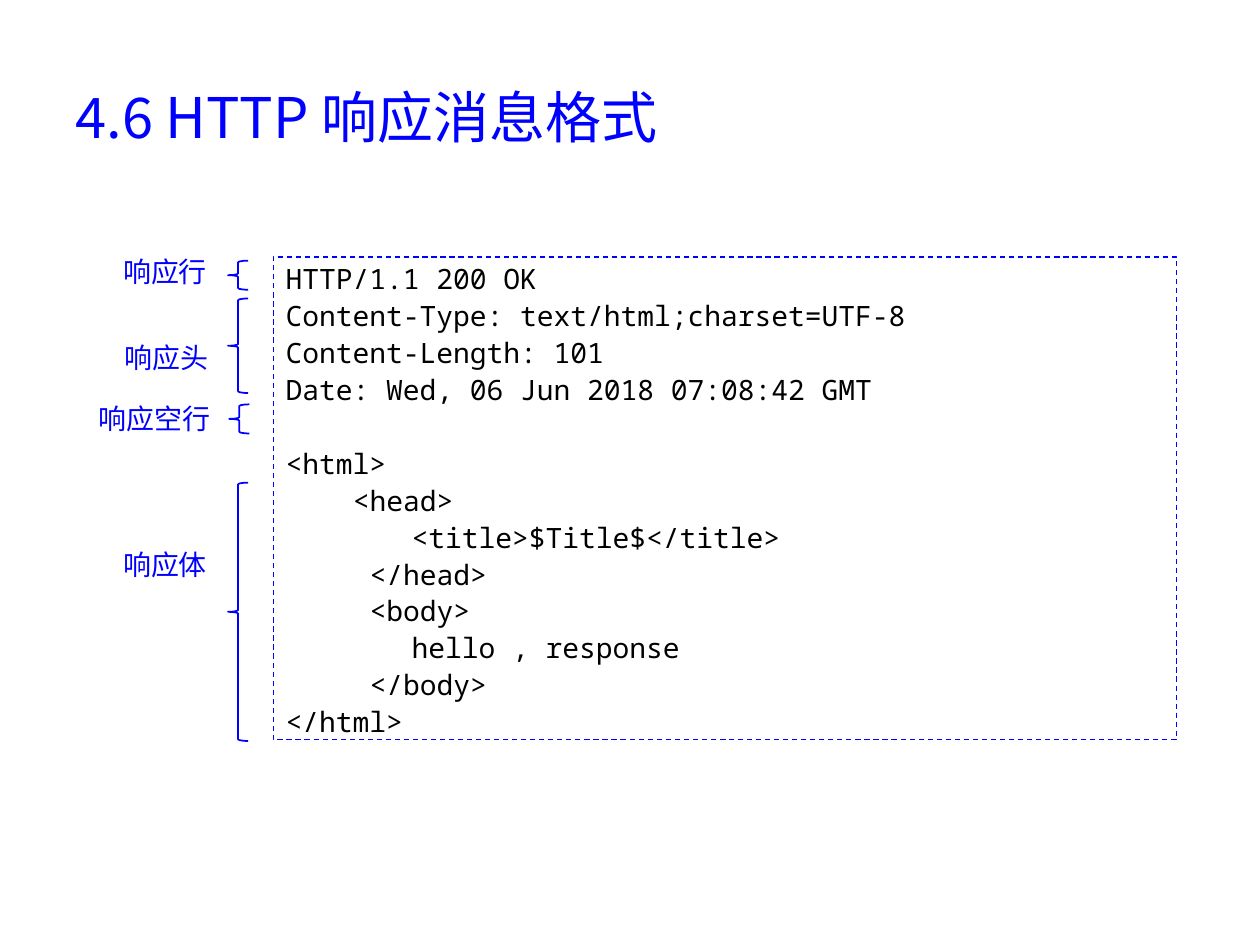
import pptx
import pptx.dml.color
import pptx.enum.dml
import pptx.enum.shapes
import pptx.enum.text
import pptx.oxml.ns
import pptx.util
import lxml.etree
from dataclasses import dataclass

Pt = pptx.util.Pt
Shapes = pptx.enum.shapes.MSO_SHAPE
Align = pptx.enum.text.PP_ALIGN
Anchor = pptx.enum.text.MSO_ANCHOR


@dataclass
class Theme:
    blue = pptx.dml.color.RGBColor(0x00, 0x00, 0xFF)
    black = pptx.dml.color.RGBColor(0x00, 0x00, 0x00)
    sans = "Noto Sans CJK SC"
    mono = "Noto Sans Mono"
    title_size = Pt(32)
    body_size = Pt(16)


theme = Theme()


def add_text(paragraph, text, font, size, color):
    run = paragraph.add_run()
    run.text = text
    run.font.name = font
    run.font.size = size
    run.font.color.rgb = color
    east_asian = lxml.etree.SubElement(run.font._element, pptx.oxml.ns.qn("a:ea"))
    east_asian.set("typeface", font)


def add_outline(kind, left, top, width, height, weight):
    outline = slide.shapes.add_shape(kind, Pt(left), Pt(top), Pt(width), Pt(height))
    outline.shadow.inherit = False
    outline.fill.background()
    outline.line.color.rgb = theme.blue
    outline.line.width = Pt(weight)
    return outline


deck = pptx.Presentation()
deck.slide_width = Pt(720)
deck.slide_height = Pt(540)
slide = deck.slides.add_slide(deck.slide_layouts[6])

heading = slide.shapes.add_textbox(Pt(36), Pt(21.6), Pt(648), Pt(90)).text_frame
heading.word_wrap = True
heading.vertical_anchor = Anchor.MIDDLE
add_text(heading.paragraphs[0], "4.6 HTTP 响应消息格式", theme.sans, theme.title_size, theme.blue)

message = add_outline(Shapes.RECTANGLE, 156.2, 146.9, 516.2, 275.8, 0.75)
message.line.dash_style = pptx.enum.dml.MSO_LINE.DASH
message_text = message.text_frame
message_text.word_wrap = True
message_text.vertical_anchor = Anchor.MIDDLE

message_lines = [
    ("HTTP/1.1 200 OK", 0, 0),
    ("Content-Type: text/html;charset=UTF-8", 0, 0),
    ("Content-Length: 101", 0, 0),
    ("Date: Wed, 06 Jun 2018 07:08:42 GMT", 0, 0),
    ("<html>", 0, 21.1),
    ("<head>", 38.4, 0),
    ("<title>$Title$</title>", 72, 0),
    ("</head>", 48, 0),
    ("<body>", 48, 0),
    ("hello , response", 72, 0),
    ("</body>", 48, 0),
    ("</html>", 0, 0),
]
for number, (code, indent, gap) in enumerate(message_lines):
    line = message_text.add_paragraph() if number else message_text.paragraphs[0]
    line.alignment = Align.LEFT
    line.line_spacing = 1.1
    line.space_before = Pt(gap)
    line._p.get_or_add_pPr().set("marL", str(Pt(indent)))
    add_text(line, code, theme.mono, theme.body_size, theme.black)

message_parts = [
    ("响应行", 61.9, 141.8, 63.4, 130.3, 149, 16.6),
    ("响应头", 62.6, 190.8, 63.4, 130.3, 170.6, 54),
    ("响应空行", 48.2, 226.1, 79.2, 131, 231.1, 16.6),
    ("响应体", 9.4, 309.6, 115.9, 130.3, 275.8, 147.6),
]
for name, left, top, width, brace_left, brace_top, brace_height in message_parts:
    label = slide.shapes.add_textbox(Pt(left), Pt(top), Pt(width), Pt(26.6)).text_frame
    label.word_wrap = True
    label.margin_left = 0
    label.paragraphs[0].alignment = Align.RIGHT
    add_text(label.paragraphs[0], name, theme.sans, theme.body_size, theme.blue)
    add_outline(Shapes.LEFT_BRACE, brace_left, brace_top, 11.5, brace_height, 1)

deck.save("out.pptx")
